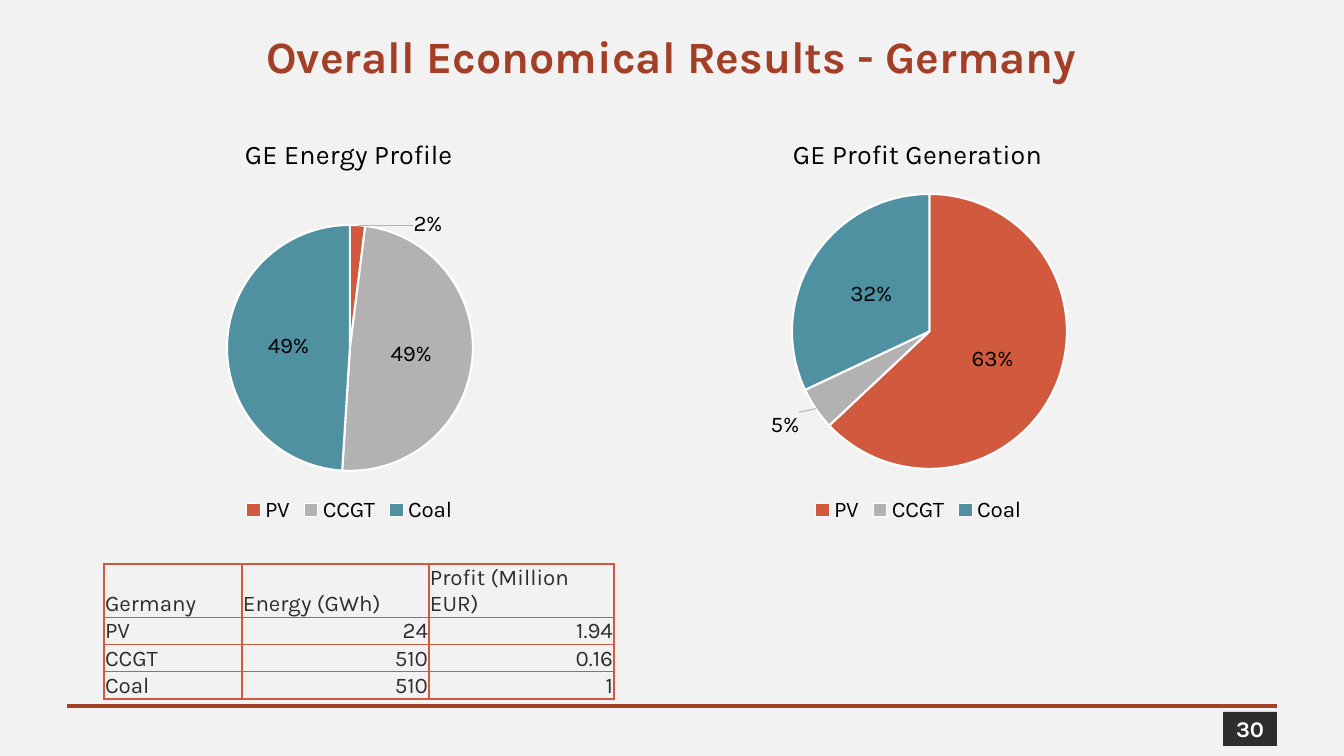
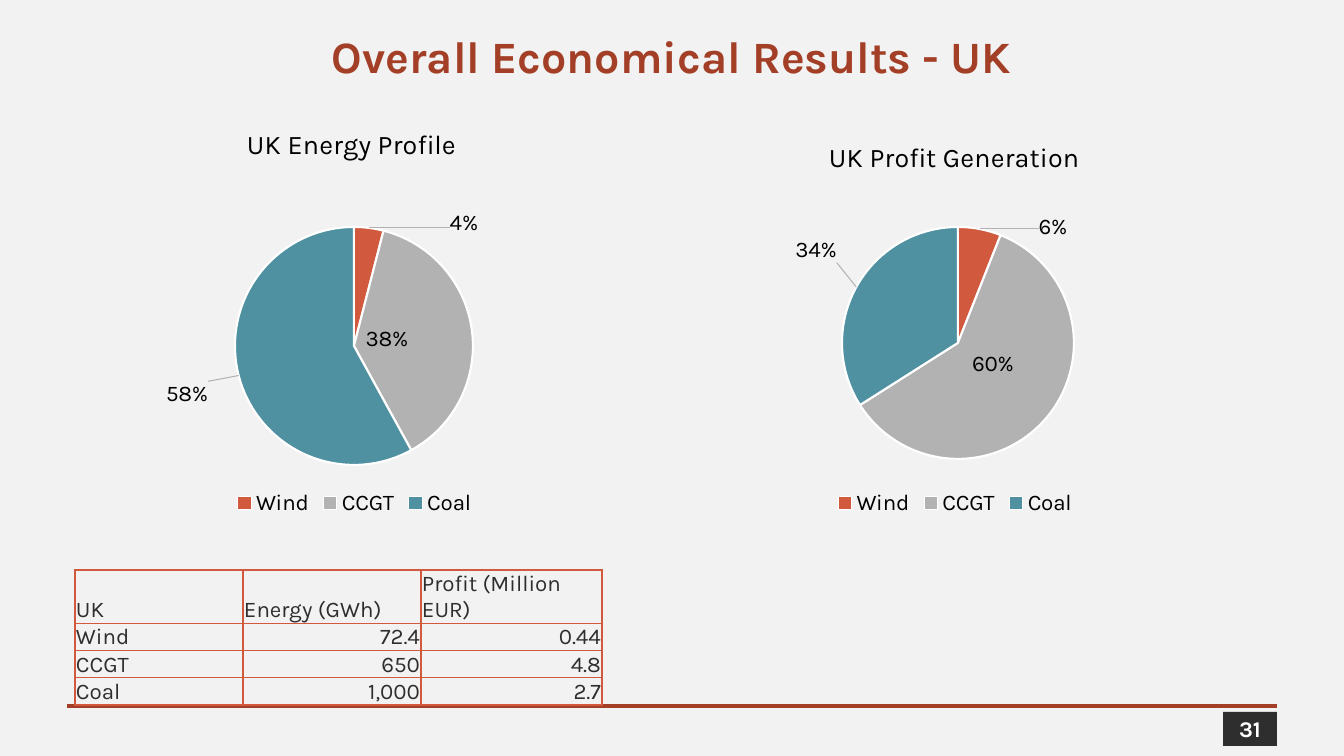
"""Build two slides that compare energy and profit shares per country."""
import copy
import math

import pptx
import pptx.chart.data
import pptx.dml.color
import pptx.enum.chart
import pptx.enum.shapes
import pptx.enum.text
import pptx.oxml
import pptx.oxml.ns
import pptx.util

WIDTH, HEIGHT = 1344, 756
EMU_PER_PX = 12192000 / WIDTH
FONT = "Karla"
BODY_SIZE = 16
COLORS = {
    "background": "F2F2F2",
    "accent": "A43F27",
    "border": "D15A3E",
    "dark": "2D2E2D",
    "white": "FFFFFF",
    "black": "000000",
    "leader": "B2B2B2",
}
SLICE_COLORS = ["D15A3E", "B2B2B2", "4F91A1"]
ALIGN = pptx.enum.text.PP_ALIGN
ANCHOR = pptx.enum.text.MSO_ANCHOR
QN = pptx.oxml.ns.qn
NAMESPACES = pptx.oxml.ns.nsdecls

RESULTS = [
    {
        "title": "Overall Economical Results - Germany",
        "number": "30",
        "categories": ["PV", "CCGT", "Coal"],
        "charts": [
            {"title": "GE Energy Profile", "title_at": (240, 131),
             "box": (47, 118, 605, 409), "pie": (227, 225, 246),
             "values": [2, 49, 49], "labels": {0: (428, 224)}},
            {"title": "GE Profit Generation", "title_at": (788, 131),
             "box": (614, 118, 609, 409), "pie": (792, 194, 275),
             "values": [63, 5, 32], "labels": {1: (785, 425)}},
        ],
        "table_at": (104, 564),
        "columns": [138, 187, 185],
        "rows": [
            ["Germany", "Energy (GWh)", "Profit (Million EUR)"],
            ["PV", "24", "1.94"],
            ["CCGT", "510", "0.16"],
            ["Coal", "510", "1"],
        ],
    },
    {
        "title": "Overall Economical Results - UK",
        "number": "31",
        "categories": ["Wind", "CCGT", "Coal"],
        "charts": [
            {"title": "UK Energy Profile", "title_at": (242, 120),
             "box": (37, 121, 635, 399), "pie": (235, 227, 238),
             "values": [4, 38, 58],
             "labels": {0: (464, 223), 1: (387, 339), 2: (187, 394)}},
            {"title": "UK Profit Generation", "title_at": (824, 134),
             "box": (659, 121, 592, 399), "pie": (842, 227, 232),
             "values": [6, 60, 34],
             "labels": {0: (1053, 227), 1: (993, 364), 2: (816, 250)}},
        ],
        "table_at": (75, 570),
        "columns": [168, 178, 181],
        "rows": [
            ["UK", "Energy (GWh)", "Profit (Million EUR)"],
            ["Wind", "72.4", "0.44"],
            ["CCGT", "650", "4.8"],
            ["Coal", "1,000", "2.7"],
        ],
    },
]


def px(length):
    return pptx.util.Emu(round(length * EMU_PER_PX))


def rgb(name):
    return pptx.dml.color.RGBColor.from_string(COLORS.get(name, name))


def style_font(font, size, color, bold=False):
    font.name = FONT
    font.size = pptx.util.Pt(size)
    font.bold = bold
    font.color.rgb = rgb(color)


def write_text(frame, text, size, color, align=ALIGN.LEFT, bold=False):
    paragraph = frame.paragraphs[0]
    paragraph.alignment = align
    run = paragraph.add_run()
    run.text = text
    style_font(run.font, size, color, bold)


def add_label_box(slide, box, text, size, color, fill=None):
    shape = slide.shapes.add_shape(
        pptx.enum.shapes.MSO_SHAPE.RECTANGLE, *map(px, box))
    shape.shadow.inherit = False
    shape.line.fill.background()
    if fill:
        shape.fill.solid()
        shape.fill.fore_color.rgb = rgb(fill)
    else:
        shape.fill.background()
    frame = shape.text_frame
    frame.word_wrap = True
    frame.vertical_anchor = ANCHOR.MIDDLE
    frame.margin_left = frame.margin_right = 0
    frame.margin_top = frame.margin_bottom = 0
    write_text(frame, text, size, color, ALIGN.CENTER, True)


def add_rule(slide, left, right, top):
    line = slide.shapes.add_connector(
        pptx.enum.shapes.MSO_CONNECTOR.STRAIGHT,
        px(left), px(top), px(right), px(top))
    line.line.color.rgb = rgb("accent")
    line.line.width = pptx.util.Pt(2.25)
    line.element.spPr.append(pptx.oxml.parse_xml(
        f"<a:effectLst {NAMESPACES('a')}/>"))


def add_frame(slide, title, number):
    add_rule(slide, 67, 1277, 706)
    add_label_box(slide, (67, 16, 1210, 79), title, 32, "accent")
    add_label_box(slide, (1223, 712, 54, 34), number, BODY_SIZE, "white", "dark")


def set_layout(parent, index, settings):
    for old_layout in parent.findall(QN("c:layout")):
        parent.remove(old_layout)
    entries = "".join(
        f'<c:{name} val="{value}"/>' for name, value in settings.items())
    parent.insert(index, pptx.oxml.parse_xml(
        f"<c:layout {NAMESPACES('c')}><c:manualLayout>{entries}"
        "</c:manualLayout></c:layout>"))


def place_chart_parts(chart, content):
    left, top, width, height = content["box"]
    pie_left, pie_top, pie_size = content["pie"]
    title_left, title_top = content["title_at"]
    root = chart._chartSpace
    set_layout(root.find(".//" + QN("c:plotArea")), 0, {
        "layoutTarget": "inner", "xMode": "edge", "yMode": "edge",
        "x": (pie_left - left) / width, "y": (pie_top - top) / height,
        "w": pie_size / width, "h": pie_size / height})
    set_layout(root.find(".//" + QN("c:title")), 1, {
        "xMode": "edge", "yMode": "edge",
        "x": (title_left - left) / width, "y": (title_top - top) / height})


def move_labels(chart, content):
    width, height = content["box"][2:]
    pie_left, pie_top, pie_size = content["pie"]
    values = content["values"]
    labels = chart._chartSpace.find(".//" + QN("c:dLbls"))
    settings = [child for child in labels
                if child.tag != QN("c:showLeaderLines")]
    for position, (index, target) in enumerate(content["labels"].items()):
        share = (sum(values[:index]) + values[index] / 2) / sum(values)
        angle = share * math.tau
        center_x = pie_left + pie_size / 2 + pie_size / 4 * math.sin(angle)
        center_y = pie_top + pie_size / 2 - pie_size / 4 * math.cos(angle)
        label = pptx.oxml.parse_xml(
            f'<c:dLbl {NAMESPACES("c")}><c:idx val="{index}"/></c:dLbl>')
        set_layout(label, 1, {"x": (target[0] - center_x) / width,
                              "y": (target[1] - center_y) / height})
        label.extend(copy.deepcopy(setting) for setting in settings)
        labels.insert(position, label)
    labels.append(pptx.oxml.parse_xml(
        f'<c:leaderLines {NAMESPACES("c", "a")}><c:spPr><a:ln w="9525">'
        f'<a:solidFill><a:srgbClr val="{COLORS["leader"]}"/></a:solidFill>'
        '</a:ln></c:spPr></c:leaderLines>'))


def add_pie(slide, categories, content):
    data = pptx.chart.data.CategoryChartData()
    data.categories = categories
    data.add_series("Series 1", content["values"])
    chart = slide.shapes.add_chart(
        pptx.enum.chart.XL_CHART_TYPE.PIE,
        *map(px, content["box"]), data).chart
    style_font(chart.font, BODY_SIZE, "black")
    chart.has_title = True
    write_text(chart.chart_title.text_frame, content["title"], 19.2,
               "black", ALIGN.CENTER)
    chart.has_legend = True
    chart.legend.position = pptx.enum.chart.XL_LEGEND_POSITION.BOTTOM
    chart.legend.include_in_layout = False
    style_font(chart.legend.font, BODY_SIZE, "black")

    plot = chart.plots[0]
    plot.vary_by_categories = True
    series = plot.series[0]
    for index, color in enumerate(SLICE_COLORS):
        point_format = series.points[index].format
        point_format.fill.solid()
        point_format.fill.fore_color.rgb = rgb(color)
        point_format.line.color.rgb = rgb("white")
        point_format.line.width = pptx.util.Pt(1.5)
    labels = series.data_labels
    labels.show_value = False
    labels.show_percentage = True
    labels.number_format = "0%"
    labels.number_format_is_linked = False
    labels.position = pptx.enum.chart.XL_LABEL_POSITION.CENTER
    style_font(labels.font, BODY_SIZE, "black")
    place_chart_parts(chart, content)
    move_labels(chart, content)


def add_borders(cell):
    properties = cell._tc.get_or_add_tcPr()
    for index, side in enumerate(("lnL", "lnR", "lnT", "lnB")):
        properties.insert(index, pptx.oxml.parse_xml(
            f'<a:{side} {NAMESPACES("a")} w="12700"><a:solidFill>'
            f'<a:srgbClr val="{COLORS["border"]}"/></a:solidFill></a:{side}>'))


def add_results_table(slide, position, columns, rows):
    heights = [53] + [27] * (len(rows) - 1)
    table = slide.shapes.add_table(
        len(rows), len(columns), *map(px, position),
        px(sum(columns)), px(sum(heights))).table
    table.first_row = False
    table.horz_banding = False
    for column, width in zip(table.columns, columns):
        column.width = px(width)
    for row_index, (row, height) in enumerate(zip(table.rows, heights)):
        row.height = px(height)
        for column_index, cell in enumerate(row.cells):
            cell.fill.background()
            cell.vertical_anchor = ANCHOR.BOTTOM
            cell.margin_left = cell.margin_right = cell.margin_top = px(1)
            cell.margin_bottom = 0
            numeric = row_index > 0 and column_index > 0
            write_text(cell.text_frame, rows[row_index][column_index],
                       BODY_SIZE, "dark",
                       ALIGN.RIGHT if numeric else ALIGN.LEFT)
            add_borders(cell)


def main():
    presentation = pptx.Presentation()
    presentation.slide_width = px(WIDTH)
    presentation.slide_height = px(HEIGHT)
    background = presentation.slide_master.background.fill
    background.solid()
    background.fore_color.rgb = rgb("background")
    for result in RESULTS:
        slide = presentation.slides.add_slide(presentation.slide_layouts[6])
        add_frame(slide, result["title"], result["number"])
        for content in result["charts"]:
            add_pie(slide, result["categories"], content)
        add_results_table(
            slide, result["table_at"], result["columns"], result["rows"])
    presentation.save("out.pptx")


if __name__ == "__main__":
    main()
